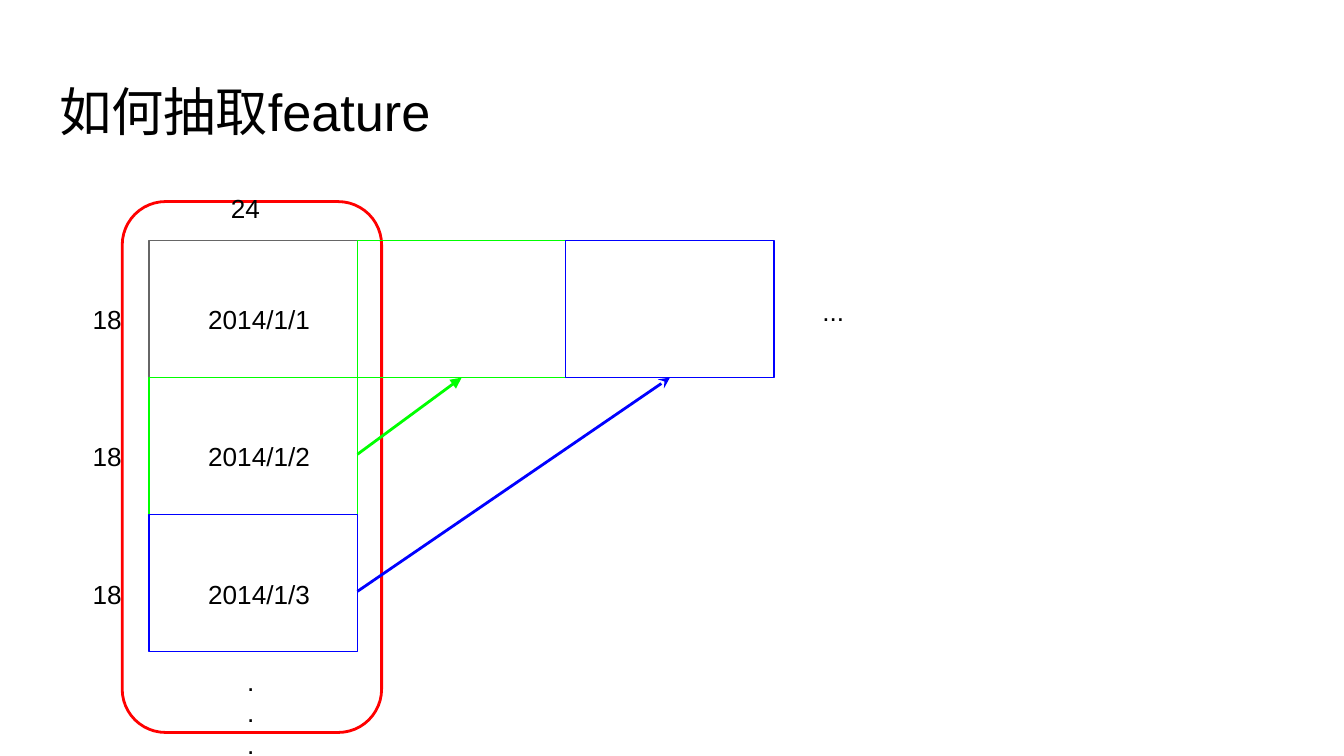
from lxml import etree
from pptx import Presentation
from pptx.dml.color import RGBColor
from pptx.enum.shapes import MSO_CONNECTOR, MSO_SHAPE
from pptx.enum.text import MSO_ANCHOR, MSO_AUTO_SIZE, PP_ALIGN
from pptx.oxml.ns import qn
from pptx.util import Inches, Pt

RECT, ROUNDED = MSO_SHAPE.RECTANGLE, MSO_SHAPE.ROUNDED_RECTANGLE
STRAIGHT = MSO_CONNECTOR.STRAIGHT
TOP, LEFT, NO_FIT = MSO_ANCHOR.TOP, PP_ALIGN.LEFT, MSO_AUTO_SIZE.NONE
COLORS = ["666666", "00FF00", "0000FF"]
DAYS = ["2014/1/1", "2014/1/2", "2014/1/3"]
CELL_W, CELL_H = 1.55, 1.02
TEXT_H = 0.39


def rgb(value):
    return RGBColor.from_string(value)


def inches(*values):
    return [Inches(v) for v in values]


def set_text(sp, text, size):
    tf = sp.text_frame
    tf.word_wrap = True
    tf.auto_size = NO_FIT
    tf.vertical_anchor = TOP
    tf.margin_left = tf.margin_right = tf.margin_top = tf.margin_bottom = Inches(0.1)
    tf.text = text
    p = tf.paragraphs[0]
    p.alignment = LEFT
    p.line_spacing = 1.0
    p.font.size = Pt(size)
    p.font.name = "Arial"
    p.font.color.rgb = rgb("000000")


def add_label(s, text, x, y, w=0.52, h=TEXT_H):
    set_text(s.shapes.add_textbox(*inches(x, y, w, h)), text, 14)


def add_outline(s, kind, box, color, width):
    sp = s.shapes.add_shape(kind, *inches(*box))
    sp.shadow.inherit = False
    sp.fill.background()
    sp.line.color.rgb = rgb(color)
    sp.line.width = Pt(width)
    return sp


def add_arrow(s, start, end, color, head):
    c = s.shapes.add_connector(STRAIGHT, *inches(*start, *end))
    c.line.color.rgb = rgb(color)
    c.line.width = Pt(1.5)
    etree.SubElement(c.line._get_or_add_ln(), qn("a:tailEnd"), type=head)
    etree.SubElement(c._element.spPr, qn("a:effectLst"))


def add_title(s, x, y, w, h):
    sp = s.shapes.title
    sp.left, sp.top, sp.width, sp.height = inches(x, y, w, h)
    set_text(sp, "如何抽取feature", 28)


def add_day_column(s, x, y):
    frame = add_outline(s, ROUNDED, (x - 0.2, y - 0.29, 1.93, 3.95), "FF0000", 1.5)
    frame.adjustments[0] = 0.167
    add_label(s, "24", x + 0.51, y - 0.46)
    for row, (day, color) in enumerate(zip(DAYS, COLORS)):
        top = y + row * CELL_H
        add_outline(s, RECT, (x, top, CELL_W, CELL_H), color, 0.75)
        add_label(s, "18", x - 0.52, top + 0.37)
        add_label(s, day, x + 0.34, top + 0.37, 1.21)
    add_label(s, "...", x + 0.63, y + len(DAYS) * CELL_H, 0.28, CELL_H)


def add_feature_row(s, x, y):
    for col, color in enumerate(COLORS[1:], 1):
        add_outline(s, RECT, (x + col * CELL_W, y, CELL_W, CELL_H), color, 0.75)
    add_label(s, "...", x + 3 * CELL_W + 0.26, y + 0.31)


def add_day_arrows(s, x, y):
    for row, head in ((2, "stealth"), (1, "triangle")):
        start = (x + CELL_W, y + row * CELL_H + 0.57)
        end = (x + (row + 0.5) * CELL_W, y + CELL_H)
        add_arrow(s, start, end, COLORS[row], head)


def main():
    prs = Presentation()
    prs.slide_width, prs.slide_height = Pt(720), Pt(405)
    s = prs.slides.add_slide(prs.slide_layouts[5])
    add_title(s, 0.34, 0.49, 9.32, 0.63)
    grid = (1.11, 1.79)
    add_day_column(s, *grid)
    add_feature_row(s, *grid)
    add_day_arrows(s, *grid)
    prs.save("out.pptx")


if __name__ == "__main__":
    main()
